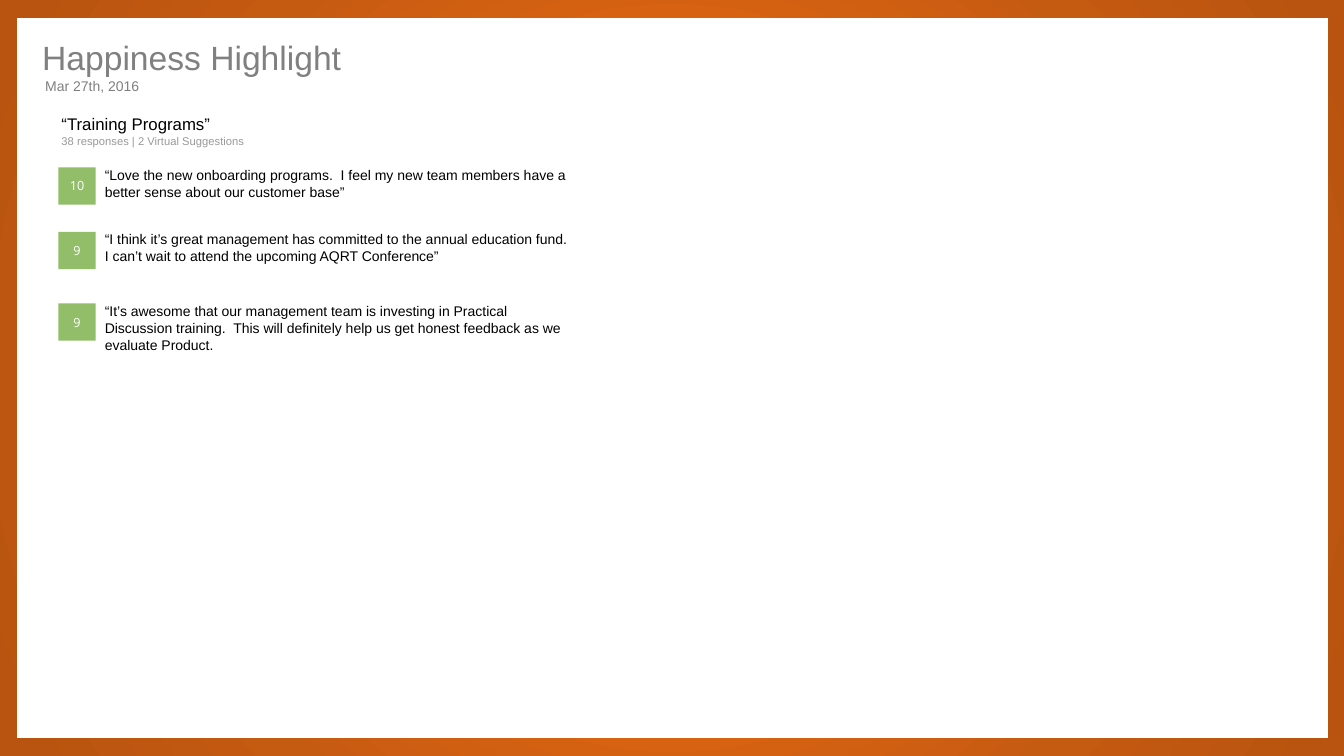
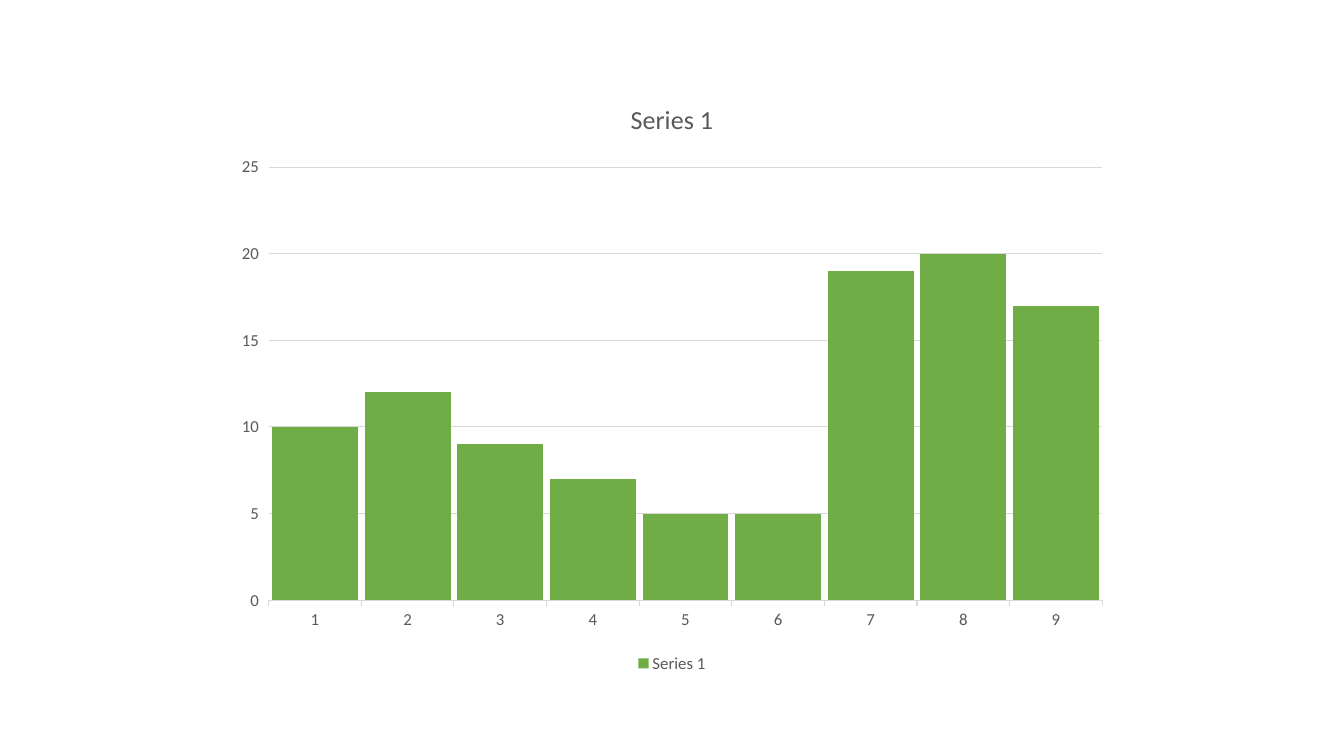
import pptx
import pptx.chart.data
import pptx.dml.color
import pptx.enum.chart
import pptx.enum.shapes
import pptx.enum.text
import pptx.oxml
import pptx.oxml.ns
import pptx.util

Inches = pptx.util.Inches


class Theme:
    # Colours
    white, black = "FFFFFF", "000000"
    heading, detail = "808080", "999999"
    score = "92BE69"
    bar, chart_text, chart_line = "70AD47", "595959", "D9D9D9"
    glow = [(0, "EA6B14"), (23, "EA6B14"), (69, "C55A11"), (97, "B85410")]
    # Fonts
    body_font, score_font, chart_font = "Arial", "Open Sans", "Calibri"
    # Type sizes in points
    title, topic, body, score_size, small = 24, 12, 10, 9, 8
    chart_title, chart_label = 18.6, 12
    # Text insets and line widths
    wide_inset, tight_inset = (0.1, 0.05), (0.08, 0.07)
    chart_line_width = 0.75


# Content
TITLE = "Happiness Highlight"
DATE = "Mar 27th, 2016"
TOPIC = "“Training Programs”"
TOPIC_DETAIL = "38 responses | 2 Virtual Suggestions"
# Score, top of its square, comment
FEEDBACK = [
    ("10", 1.66, "“Love the new onboarding programs.  I feel my new team members "
                 "have a better sense about our customer base”"),
    ("9", 2.3, "“I think it’s great management has committed to the annual education "
               "fund.  I can’t wait to attend the upcoming AQRT Conference”"),
    ("9", 3.01, "“It’s awesome that our management team is investing in Practical "
                "Discussion training.  This will definitely help us get honest "
                "feedback as we evaluate Product."),
]
SERIES_NAME = "Series 1"
CATEGORIES = range(1, 10)
VALUES = [10, 12, 9, 7, 5, 5, 19, 20, 17]

# Layout in inches
SCORE_LEFT, SCORE_SIDE = 0.58, 0.37
COMMENT_LEFT, COMMENT_WIDTH, COMMENT_HEIGHT, COMMENT_RISE = 0.96, 4.78, 0.8, 0.08


def rgb(colour):
    return pptx.dml.color.RGBColor.from_string(colour)


def style_font(font, size, colour, name):
    font.size = pptx.util.Pt(size)
    font.color.rgb = rgb(colour)
    font.name = name
    font.bold = False


def add_run(paragraph, text, size, colour, name=Theme.body_font):
    run = paragraph.add_run()
    run.text = text
    style_font(run.font, size, colour, name)


def set_insets(frame, horizontal, vertical):
    frame.margin_left = frame.margin_right = Inches(horizontal)
    frame.margin_top = frame.margin_bottom = Inches(vertical)


def add_rectangle(slide, box, colour):
    shape = slide.shapes.add_shape(
        pptx.enum.shapes.MSO_SHAPE.RECTANGLE, *map(Inches, box))
    shape.shadow.inherit = False
    shape.fill.solid()
    shape.fill.fore_color.rgb = rgb(colour)
    shape.line.fill.background()
    return shape


def add_text(slide, box, lines, insets=Theme.tight_inset, grow=False):
    """Add one paragraph whose lines are (text, size, colour)."""
    frame = slide.shapes.add_textbox(*map(Inches, box)).text_frame
    frame.word_wrap = True
    set_insets(frame, *insets)
    if grow:
        frame.auto_size = pptx.enum.text.MSO_AUTO_SIZE.SHAPE_TO_FIT_TEXT
    paragraph = frame.paragraphs[0]
    for index, line in enumerate(lines):
        if index:
            paragraph.add_line_break()
        add_run(paragraph, *line)


def add_score(slide, top, score):
    square = add_rectangle(slide, (SCORE_LEFT, top, SCORE_SIDE, SCORE_SIDE), Theme.score)
    frame = square.text_frame
    set_insets(frame, *Theme.tight_inset)
    frame.vertical_anchor = pptx.enum.text.MSO_ANCHOR.MIDDLE
    paragraph = frame.paragraphs[0]
    paragraph.alignment = pptx.enum.text.PP_ALIGN.CENTER
    add_run(paragraph, score, Theme.score_size, Theme.white, Theme.score_font)


def set_radial_background(slide, stops):
    slide.background.fill.gradient()
    gradient = slide.element.find(".//" + pptx.oxml.ns.qn("a:gradFill"))
    stop_xml = "".join(
        f'<a:gs pos="{position * 1000}"><a:srgbClr val="{colour}"/></a:gs>'
        for position, colour in stops)
    radial = pptx.oxml.parse_xml(
        f'<a:gradFill {pptx.oxml.ns.nsdecls("a")} rotWithShape="1">'
        f'<a:gsLst>{stop_xml}</a:gsLst><a:path path="circle">'
        '<a:fillToRect l="50000" t="50000" r="50000" b="50000"/>'
        '</a:path></a:gradFill>')
    gradient.getparent().replace(gradient, radial)


def style_line(line):
    line.color.rgb = rgb(Theme.chart_line)
    line.width = pptx.util.Pt(Theme.chart_line_width)


def build_highlight(slide):
    # Background and white panel
    set_radial_background(slide, Theme.glow)
    add_rectangle(slide, (0.17, 0.18, 13, 7.14), Theme.white)

    # Headings
    add_text(slide, (0.32, 0.32, 4.03, 0.5), [(TITLE, Theme.title, Theme.heading)],
             Theme.wide_inset, grow=True)
    add_text(slide, (0.35, 0.72, 1.38, 0.27), [(DATE, Theme.body, Theme.heading)],
             Theme.wide_inset, grow=True)
    add_text(slide, (0.53, 1.06, 2.8, 0.42),
             [(TOPIC, Theme.topic, Theme.black),
              (TOPIC_DETAIL, Theme.small, Theme.detail)])

    # Scored comments
    for score, top, comment in FEEDBACK:
        add_score(slide, top, score)
        add_text(slide,
                 (COMMENT_LEFT, top - COMMENT_RISE, COMMENT_WIDTH, COMMENT_HEIGHT),
                 [(comment, Theme.body, Theme.black)])


def build_chart(slide):
    data = pptx.chart.data.CategoryChartData(number_format="General")
    data.categories = CATEGORIES
    data.add_series(SERIES_NAME, VALUES)
    chart = slide.shapes.add_chart(
        pptx.enum.chart.XL_CHART_TYPE.COLUMN_CLUSTERED,
        *map(Inches, (2.22, 0.79, 8.89, 5.93)), data).chart
    label_style = (Theme.chart_label, Theme.chart_text, Theme.chart_font)
    style_font(chart.font, *label_style)

    # Title and legend
    chart.has_title = True
    add_run(chart.chart_title.text_frame.paragraphs[0], SERIES_NAME,
            Theme.chart_title, Theme.chart_text, Theme.chart_font)
    chart.chart_title.include_in_layout = False
    chart.has_legend = True
    chart.legend.position = pptx.enum.chart.XL_LEGEND_POSITION.BOTTOM
    chart.legend.include_in_layout = False
    style_font(chart.legend.font, *label_style)

    # Columns
    plot = chart.plots[0]
    plot.vary_by_categories = False
    plot.gap_width, plot.overlap = 8, -13
    fill = plot.series[0].format.fill
    fill.solid()
    fill.fore_color.rgb = rgb(Theme.bar)

    # Axes
    for axis in (chart.category_axis, chart.value_axis):
        style_font(axis.tick_labels.font, *label_style)
    style_line(chart.category_axis.format.line)
    chart.value_axis.format.line.fill.background()
    chart.value_axis.has_major_gridlines = True
    style_line(chart.value_axis.major_gridlines.format.line)


def main():
    presentation = pptx.Presentation()
    presentation.slide_width = Inches(13.33)
    presentation.slide_height = Inches(7.5)
    blank_layout = presentation.slide_layouts[6]
    for build in (build_highlight, build_chart):
        build(presentation.slides.add_slide(blank_layout))
    presentation.save("out.pptx")


if __name__ == "__main__":
    main()
